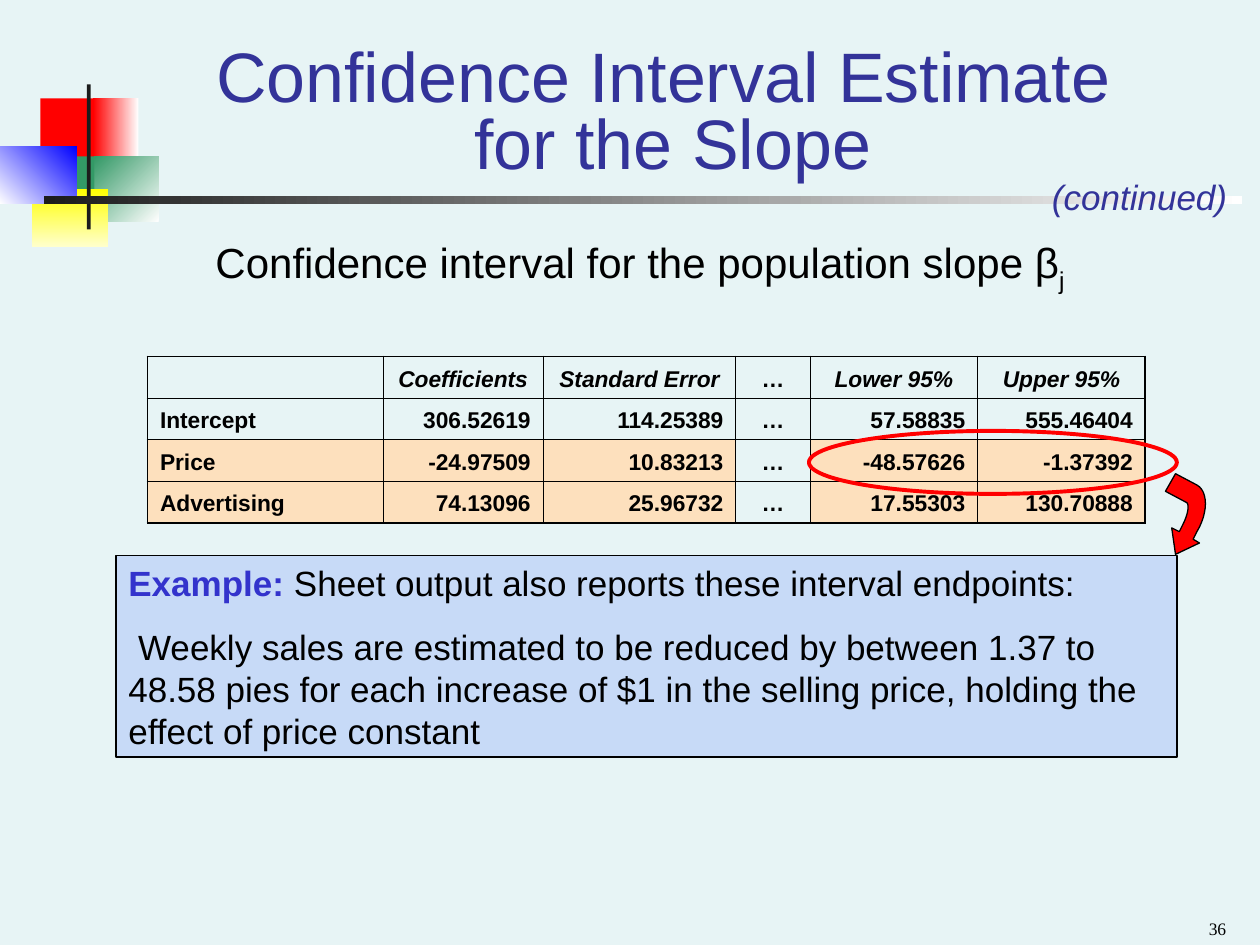
from typing import NamedTuple, Optional

from lxml.etree import SubElement
from pptx import Presentation
from pptx.dml.color import RGBColor
from pptx.enum.shapes import MSO_SHAPE
from pptx.enum.text import MSO_ANCHOR, MSO_AUTO_SIZE, PP_ALIGN
from pptx.oxml import parse_xml
from pptx.oxml.ns import nsdecls, qn
from pptx.util import Inches, Pt

HEX = {
    "back": "E7F4F5", "ink": "000000", "title": "333399", "label": "3333CC",
    "note": "C7DAF7", "band": "FDE0BD", "red": "FF0000", "green": "339966",
    "yellow": "FFFF00", "cream": "FFFFCC", "blue": "0000FF",
    "white": "FFFFFF", "dark": "1C1C1C",
}


class Block(NamedTuple):
    left: float
    top: float
    width: float
    height: float
    color: str
    end: Optional[str] = None  # second gradient colour
    angle: int = 0  # counter-clockwise


class Style(NamedTuple):
    size: float
    color: str = "ink"
    bold: bool = False
    italic: bool = False
    face: str = "Arial"


BLOCKS = [
    Block(0.32, 0.78, 0.48, 0.52, "red"),
    Block(0.74, 0.78, 0.36, 0.52, "white", "red", 180),
    Block(0.75, 1.24, 0.51, 0.52, "white", "green", 135),
    Block(0.43, 1.24, 0.32, 0.52, "green"),
    Block(0.25, 1.5, 0.61, 0.46, "yellow", "cream", 270),
    Block(0, 1.16, 0.61, 0.46, "blue", "white", 225),
    Block(0.69, 0.67, 0.03, 1.15, "dark"),
    Block(0.35, 1.56, 9.51, 0.06, "white", "dark", 180),
]

ROWS = [
    ["", "Coefficients", "Standard Error", "…", "Lower 95%", "Upper 95%"],
    ["Intercept", "306.52619", "114.25389", "…", "57.58835", "555.46404"],
    ["Price", "-24.97509", "10.83213", "…", "-48.57626", "-1.37392"],
    ["Advertising", "74.13096", "25.96732", "…", "17.55303", "130.70888"],
]
WIDTHS = [1.87, 1.27, 1.53, 0.59, 1.33, 1.33]
HEIGHT = 0.33
DOTS = 3  # column of ellipses, never tinted
THIN, RULE, THICK = 0.45, 0.75, 1.08

# Curved arrow: two numbers make a line, six make a Bezier curve
START = (9.33, 3.76)
STEPS = [
    (9.5, 3.85), (9.59, 3.9, 9.59, 4.07, 9.5, 4.22), (9.47, 4.28),
    (9.52, 4.31), (9.33, 4.4), (9.3, 4.19), (9.36, 4.22), (9.39, 4.16),
    (9.43, 4.08, 9.44, 4.01, 9.42, 3.99), (9.25, 3.9),
]


def rgb(name: str) -> RGBColor:
    return RGBColor.from_string(HEX[name])


def paint(shape, fill: Optional[str], line: Optional[str] = None, width: float = 1) -> None:
    shape.shadow.inherit = False
    if fill:
        shape.fill.solid()
        shape.fill.fore_color.rgb = rgb(fill)
    else:
        shape.fill.background()
    if line:
        shape.line.color.rgb = rgb(line)
        shape.line.width = Pt(width)
    else:
        shape.line.fill.background()


def ink(run, style: Style) -> None:
    font = run.font
    font.name, font.size = style.face, Pt(style.size)
    font.bold, font.italic = style.bold, style.italic
    font.color.rgb = rgb(style.color)


def add_block(slide, block: Block) -> None:
    shape = slide.shapes.add_shape(MSO_SHAPE.RECTANGLE, *map(Inches, block[:4]))
    paint(shape, block.color)
    if block.end:
        shape.fill.gradient()
        shape.fill.gradient_angle = block.angle
        for stop, name in zip(shape.fill.gradient_stops, (block.color, block.end)):
            stop.color.rgb = rgb(name)


def write(frame, text: str, style: Style, align=PP_ALIGN.LEFT, wrap: bool = True):
    """Fill a frame with evenly styled text and return its first paragraph."""
    frame.text = text
    frame.word_wrap = wrap
    for para in frame.paragraphs:
        para.alignment = align
        for run in para.runs:
            ink(run, style)
    return frame.paragraphs[0]


def add_text(slide, box: tuple, text: str, style: Style, align=PP_ALIGN.LEFT, wrap: bool = True):
    shape = slide.shapes.add_textbox(*map(Inches, box))
    return shape, write(shape.text_frame, text, style, align, wrap)


def add_run(para, text: str, style: Style):
    run = para.add_run()
    run.text = text
    ink(run, style)
    return run


def edge(cell, sides: dict) -> None:
    """Draw cell borders; sides maps L, R, T, B, in this order, to points."""
    props = cell._tc.get_or_add_tcPr()
    for spot, (side, width) in enumerate(sides.items()):
        props.insert(spot, parse_xml(
            f'<a:ln{side} {nsdecls("a")} w="{Pt(width)}"><a:solidFill>'
            f'<a:srgbClr val="{HEX["ink"]}"/></a:solidFill></a:ln{side}>'))


def add_grid(slide) -> None:
    tall, wide = len(ROWS), len(WIDTHS)
    box = (1.17, 2.83, sum(WIDTHS), HEIGHT * tall)
    table = slide.shapes.add_table(tall, wide, *map(Inches, box)).table
    table.first_row = table.horz_banding = False
    for col, width in zip(table.columns, WIDTHS):
        col.width = Inches(width)
    for r, row in enumerate(ROWS):
        table.rows[r].height = Inches(HEIGHT)
        for c, text in enumerate(row):
            cell = table.cell(r, c)
            cell.vertical_anchor = MSO_ANCHOR.BOTTOM
            if r == 0 or c == DOTS:
                align = PP_ALIGN.CENTER
            else:
                align = PP_ALIGN.RIGHT if c else PP_ALIGN.LEFT
            style = Style(13, bold=True, italic=r == 0 and c != DOTS)
            para = write(cell.text_frame, text, style, align)
            if not text:  # keeps the empty cell from stretching its row
                SubElement(para._p, qn("a:endParaRPr"), sz="1300")
            if r > 1 and c != DOTS:
                cell.fill.solid()
                cell.fill.fore_color.rgb = rgb("band")
            else:
                cell.fill.background()
            edge(cell, {
                "L": THIN if c else THICK,
                "R": THICK if c == wide - 1 else THIN,
                "T": (THICK, RULE, THIN, THIN)[r],
                "B": (RULE, THIN, THIN, THICK)[r],
            })


def curve(a: tuple, step: tuple, count: int = 12) -> list:
    """Points along a cubic Bezier curve that starts at a."""
    knots = (a, step[:2], step[2:4], step[4:])
    spots = []
    for n in range(1, count + 1):
        t = n / count
        parts = ((1 - t) ** 3, 3 * t * (1 - t) ** 2, 3 * t * t * (1 - t), t ** 3)
        spots.append(tuple(sum(w * k[i] for w, k in zip(parts, knots)) for i in (0, 1)))
    return spots


def add_arrow(slide) -> None:
    spots = [START]
    for step in STEPS:
        spots += [step] if len(step) == 2 else curve(spots[-1], step)
    first, *rest = [(Inches(x), Inches(y)) for x, y in spots]
    pen = slide.shapes.build_freeform(*first)
    pen.add_line_segments(rest, close=True)
    paint(pen.convert_to_shape(), "red", "ink", 0.75)


def add_note(slide) -> None:
    box = map(Inches, (0.92, 4.41, 8.42, 1.6))
    shape = slide.shapes.add_shape(MSO_SHAPE.RECTANGLE, *box)
    paint(shape, "note", "ink")
    frame = shape.text_frame
    frame.vertical_anchor = MSO_ANCHOR.TOP
    first = write(frame, "Example:", Style(20, "label", bold=True))
    add_run(first, " Sheet output also reports these interval endpoints:", Style(20))
    para = frame.add_paragraph()
    para.alignment = PP_ALIGN.LEFT
    para.space_before = Pt(12.5)
    add_run(para, " Weekly sales are estimated to be reduced by between 1.37 to 48.58 pies "
            "for each increase of $1 in the selling price, holding the effect of price "
            "constant", Style(20))


def main() -> None:
    deck = Presentation()
    deck.slide_width, deck.slide_height = Inches(10), Inches(7.5)
    slide = deck.slides.add_slide(deck.slide_layouts[5])
    slide.background.fill.solid()
    slide.background.fill.fore_color.rgb = rgb("back")
    for block in BLOCKS:
        add_block(slide, block)

    title = slide.shapes.title
    title.left, title.top, title.width, title.height = map(Inches, (1.08, 0.33, 8.52, 1.17))
    title.text_frame.auto_size = MSO_AUTO_SIZE.NONE
    title.text_frame.vertical_anchor = MSO_ANCHOR.BOTTOM
    head = write(title.text_frame, "Confidence Interval Estimate \vfor the Slope",
                 Style(40, "title"), PP_ALIGN.CENTER)
    head.line_spacing = 0.8

    _, para = add_text(slide, (1.08, 1.83, 8, 0.55),
                       "Confidence interval for the population slope β",
                       Style(24), PP_ALIGN.CENTER)
    add_run(para, "j", Style(24)).font._element.set("baseline", "-25000")
    add_note(slide)
    add_grid(slide)
    ring = slide.shapes.add_shape(MSO_SHAPE.OVAL, *map(Inches, (6.42, 3.42, 2.92, 0.5)))
    paint(ring, None, "red", 2.25)
    add_arrow(slide)
    add_text(slide, (8.25, 1.34, 1.59, 0.44), "(continued)",
             Style(20, "title", italic=True), wrap=False)
    page, _ = add_text(slide, (7.5, 7.15, 2.33, 0.35), "36",
                       Style(10, face="Times New Roman"), PP_ALIGN.RIGHT)
    page.text_frame.vertical_anchor = MSO_ANCHOR.BOTTOM
    deck.save("out.pptx")


if __name__ == "__main__":
    main()
